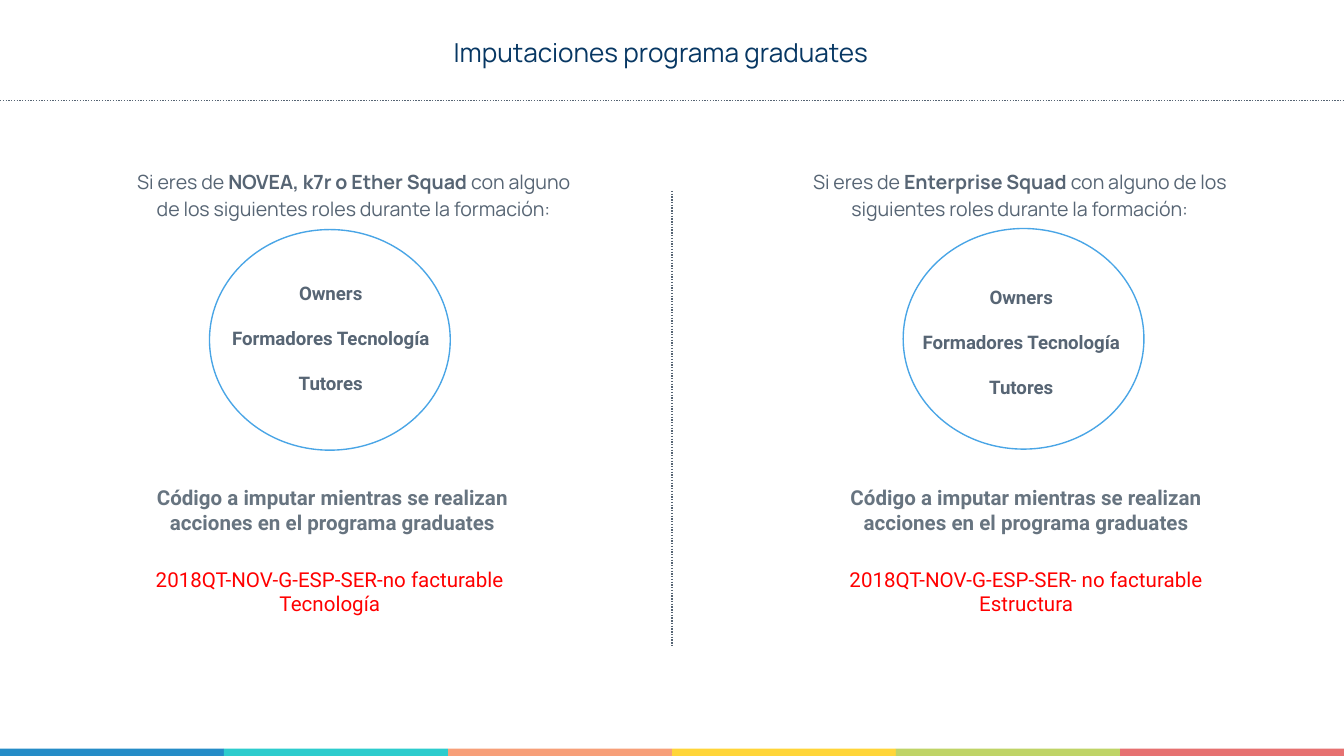
import pptx
import pptx.util
import pptx.dml.color
import pptx.enum.dml
import pptx.enum.shapes
import pptx.enum.text
import pptx.oxml.ns
from lxml import etree

Cm = pptx.util.Cm
Pt = pptx.util.Pt
RGBColor = pptx.dml.color.RGBColor

NAVY = RGBColor(0x07, 0x37, 0x63)
SLATE = RGBColor(0x57, 0x65, 0x74)
GREY = RGBColor(0x67, 0x74, 0x80)
RED = RGBColor(0xFF, 0x00, 0x00)
SKY = RGBColor(0x49, 0xA5, 0xE6)
STRIPE_COLOURS = [
    RGBColor(0x25, 0x8C, 0xC7), RGBColor(0x2D, 0xCC, 0xCD), RGBColor(0xF7, 0x9F, 0x79),
    RGBColor(0xFF, 0xD5, 0x39), RGBColor(0xBF, 0xD4, 0x67), RGBColor(0xE6, 0x71, 0x71),
]
SLIDE_WIDTH, SLIDE_HEIGHT = 25.4, 14.29


def add_text(page, place, paragraphs, font, size, colour):
    """Add centred text; each paragraph is a list of (text, bold) spans."""
    box = page.shapes.add_textbox(*[Cm(length) for length in place])
    frame = box.text_frame
    frame.word_wrap = True
    frame.margin_left = frame.margin_right = Cm(0.25)
    frame.margin_top = frame.margin_bottom = Cm(0.25)
    for index, spans in enumerate(paragraphs):
        para = frame.paragraphs[0] if index == 0 else frame.add_paragraph()
        para.alignment = pptx.enum.text.PP_ALIGN.CENTER
        for text, bold in spans:
            span = para.add_run()
            span.text = text
            span.font.name = font
            span.font.size = Pt(size)
            span.font.bold = bold
            span.font.color.rgb = colour
    return frame


def add_dotted_line(page, *ends):
    line = page.shapes.add_connector(
        pptx.enum.shapes.MSO_CONNECTOR.STRAIGHT, *[Cm(end) for end in ends])
    line.line.color.rgb = SLATE
    line.line.width = Pt(0.75)
    line.line.dash_style = pptx.enum.dml.MSO_LINE.ROUND_DOT
    etree.SubElement(line._element.spPr, pptx.oxml.ns.qn("a:effectLst"))


deck = pptx.Presentation()
deck.slide_width = Cm(SLIDE_WIDTH)
deck.slide_height = Cm(SLIDE_HEIGHT)
page = deck.slides.add_slide(deck.slide_layouts[6])

# Title and dividers
add_text(page, (4.9, 0.43, 15.19, 0.94),
         [[("Imputaciones programa graduates", False)]], "Manrope", 14, NAVY)
add_dotted_line(page, 0, 1.9, SLIDE_WIDTH, 1.9)
add_dotted_line(page, 12.7, 3.61, 12.7, 12.22)

# Colour stripe along the bottom
stripe_width = SLIDE_WIDTH / len(STRIPE_COLOURS)
for index, colour in enumerate(STRIPE_COLOURS):
    stripe = page.shapes.add_shape(
        pptx.enum.shapes.MSO_SHAPE.RECTANGLE,
        Cm(index * stripe_width), Cm(14.15), Cm(stripe_width), Cm(0.14))
    stripe.shadow.inherit = False
    stripe.fill.solid()
    stripe.fill.fore_color.rgb = colour
    stripe.line.fill.background()

# Two columns: squad, code, then the (left, top) of each part
columns = [
    ("NOVEA, k7r o Ether Squad ", "2018QT-NOV-G-ESP-SER-no facturable Tecnología",
     (2.24, 2.9), (3.96, 4.34), (3.99, 5.08), (2.46, 8.92), (2.41, 10.46)),
    ("Enterprise Squad ", "2018QT-NOV-G-ESP-SER- no facturable Estructura",
     (14.83, 2.9), (17.07, 4.32), (17.04, 5.16), (15.57, 8.92), (15.57, 10.46)),
]
for squad, code, intro_at, circle_at, roles_at, heading_at, code_at in columns:
    # Introduction
    intro = add_text(page, (*intro_at, 8.89, 0.94), [[
        ("Si eres de ", False), (squad, True),
        ("con alguno de los siguientes roles durante la formación:", False),
    ]], "Manrope", 10.5, SLATE)
    intro.paragraphs[0].line_spacing = 1.15
    intro.paragraphs[0].space_before = Pt(6)

    # Roles inside a circle
    circle = page.shapes.add_shape(
        pptx.enum.shapes.MSO_SHAPE.OVAL,
        Cm(circle_at[0]), Cm(circle_at[1]), Cm(4.55), Cm(4.17))
    circle.shadow.inherit = False
    circle.fill.background()
    circle.line.color.rgb = SKY
    circle.line.width = Pt(0.75)
    roles = add_text(page, (*roles_at, 4.52, 2.64),
                     [[(role, True)] for role in ("Owners", "Formadores Tecnología", "Tutores")],
                     "Roboto", 10, SLATE)
    for para in roles.paragraphs[1:]:
        para.space_before = Pt(12)

    # Code to charge
    add_text(page, (*heading_at, 7.65, 1.45), [[
        ("Código a imputar mientras se realizan acciones en el programa graduates", True),
    ]], "Roboto", 11, GREY)
    add_text(page, (*code_at, 7.65, 1.02), [[(code, False)]], "Roboto", 11, RED)

deck.save("out.pptx")
